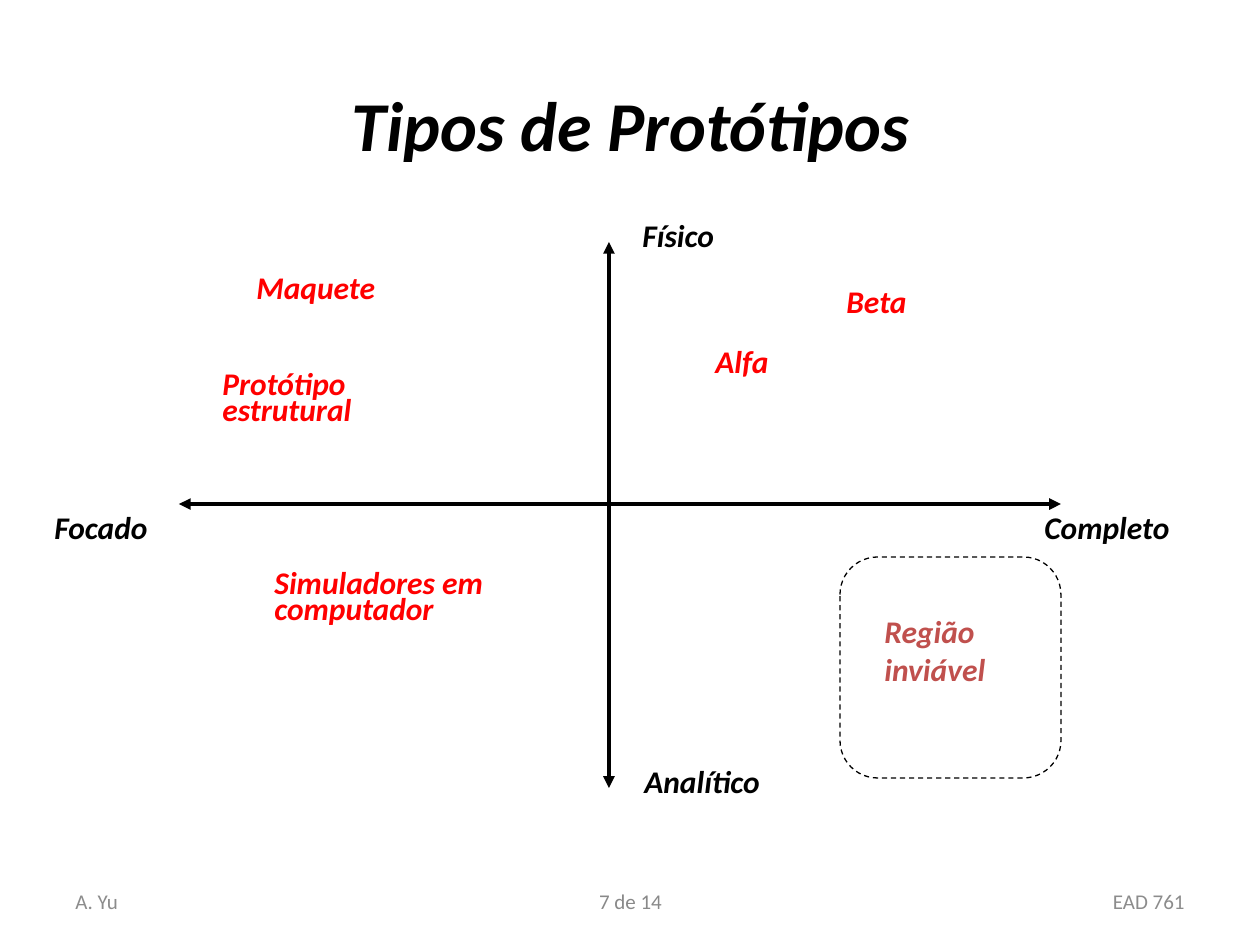
"""Build the prototype types slide: two crossed axes with labelled quadrants."""
from dataclasses import dataclass

import lxml.etree
import pptx
import pptx.dml.color
import pptx.enum.dml
import pptx.enum.shapes
import pptx.enum.text
import pptx.oxml.ns
import pptx.slide
import pptx.util

PIXELS_PER_INCH = 126
FONT_NAME = "Calibri"
BLACK = pptx.dml.color.RGBColor(0x00, 0x00, 0x00)
RED = pptx.dml.color.RGBColor(0xFF, 0x00, 0x00)
BRICK = pptx.dml.color.RGBColor(0xC0, 0x50, 0x4D)
GRAY = pptx.dml.color.RGBColor(0x8C, 0x8C, 0x8C)
MIDDLE_GRAY = pptx.dml.color.RGBColor(0x89, 0x89, 0x89)
ALIGN = pptx.enum.text.PP_ALIGN
ANCHOR = pptx.enum.text.MSO_ANCHOR


@dataclass(frozen=True)
class Label:
    text: str
    left: int
    top: int
    width: int
    height: int = 63
    color: pptx.dml.color.RGBColor = BLACK
    size: int = 18
    emphasis: bool = True
    align: ALIGN = ALIGN.LEFT
    anchor: ANCHOR = ANCHOR.TOP
    line_spacing: float = 1.0


@dataclass(frozen=True)
class Axis:
    start_x: int
    start_y: int
    end_x: int
    end_y: int


@dataclass(frozen=True)
class Footer:
    text: str
    left: int
    width: int
    align: ALIGN
    color: pptx.dml.color.RGBColor = GRAY


TITLE = Label("Tipos de Protótipos", 95, 44, 1071, 158, size=40,
              align=ALIGN.CENTER, anchor=ANCHOR.MIDDLE)
AXES = [Axis(179, 504, 1061, 504), Axis(609, 242, 609, 788)]
AXIS_LABELS = [
    Label("Físico", 630, 210, 210),
    Label("Analítico", 632, 756, 199),
    Label("Focado", 42, 502, 168),
    Label("Completo", 1032, 502, 197),
]
PROTOTYPE_LABELS = [
    Label("Região inviável", 872, 606, 179, 113, BRICK),
    Label("Simuladores em computador", 262, 567, 315, 83, RED, line_spacing=0.7),
    Label("Alfa", 703, 336, 147, color=RED),
    Label("Beta", 834, 276, 168, color=RED),
    Label("Maquete", 244, 262, 199, color=RED),
    Label("Protótipo\nestrutural", 210, 368, 210, 83, RED, line_spacing=0.7),
]
FOOTERS = [
    Footer("A. Yu", 63, 294, ALIGN.LEFT),
    Footer("7 de 14", 431, 399, ALIGN.CENTER, MIDDLE_GRAY),
    Footer("EAD 761", 903, 294, ALIGN.RIGHT),
]


def px(length: int) -> pptx.util.Emu:
    """Turn pixels into EMU."""
    return pptx.util.Emu(round(length * 914400 / PIXELS_PER_INCH))


def add_label(slide: pptx.slide.Slide, label: Label) -> None:
    """Draw one text box."""
    shape = slide.shapes.add_textbox(
        px(label.left), px(label.top), px(label.width), px(label.height))
    frame = shape.text_frame
    frame.word_wrap = True
    frame.vertical_anchor = label.anchor
    frame.text = label.text
    for paragraph in frame.paragraphs:
        paragraph.alignment = label.align
        paragraph.line_spacing = label.line_spacing
        paragraph.font.name = FONT_NAME
        paragraph.font.size = pptx.util.Pt(label.size)
        paragraph.font.bold = label.emphasis
        paragraph.font.italic = label.emphasis
        paragraph.font.color.rgb = label.color


def add_axis(slide: pptx.slide.Slide, axis: Axis) -> None:
    """Draw one line with an arrowhead at each end."""
    connector = slide.shapes.add_connector(
        pptx.enum.shapes.MSO_CONNECTOR.STRAIGHT,
        px(axis.start_x), px(axis.start_y), px(axis.end_x), px(axis.end_y))
    connector.line.color.rgb = BLACK
    connector.line.width = pptx.util.Pt(2.25)
    properties = connector.element.spPr
    outline = properties.find(pptx.oxml.ns.qn("a:ln"))
    for end in ("a:headEnd", "a:tailEnd"):
        lxml.etree.SubElement(outline, pptx.oxml.ns.qn(end), type="triangle")
    lxml.etree.SubElement(properties, pptx.oxml.ns.qn("a:effectLst"))


def add_unviable_region(slide: pptx.slide.Slide) -> None:
    """Draw the dashed rounded square."""
    shape = slide.shapes.add_shape(
        pptx.enum.shapes.MSO_SHAPE.ROUNDED_RECTANGLE,
        px(840), px(557), px(221), px(221))
    shape.adjustments[0] = 0.17
    shape.shadow.inherit = False
    shape.fill.background()
    shape.line.color.rgb = BLACK
    shape.line.width = pptx.util.Pt(0.75)
    shape.line.dash_style = pptx.enum.dml.MSO_LINE.DASH


def main() -> None:
    """Build and save the presentation."""
    presentation = pptx.Presentation()
    presentation.slide_width = px(1260)
    presentation.slide_height = px(945)
    slide = presentation.slides.add_slide(presentation.slide_layouts[6])
    for footer in FOOTERS:
        add_label(slide, Label(
            footer.text, footer.left, 876, footer.width, 50, footer.color, 12,
            False, footer.align, ANCHOR.MIDDLE))
    add_label(slide, TITLE)
    for axis in AXES:
        add_axis(slide, axis)
    for label in AXIS_LABELS:
        add_label(slide, label)
    add_unviable_region(slide)
    for label in PROTOTYPE_LABELS:
        add_label(slide, label)
    presentation.save("out.pptx")


if __name__ == "__main__":
    main()
